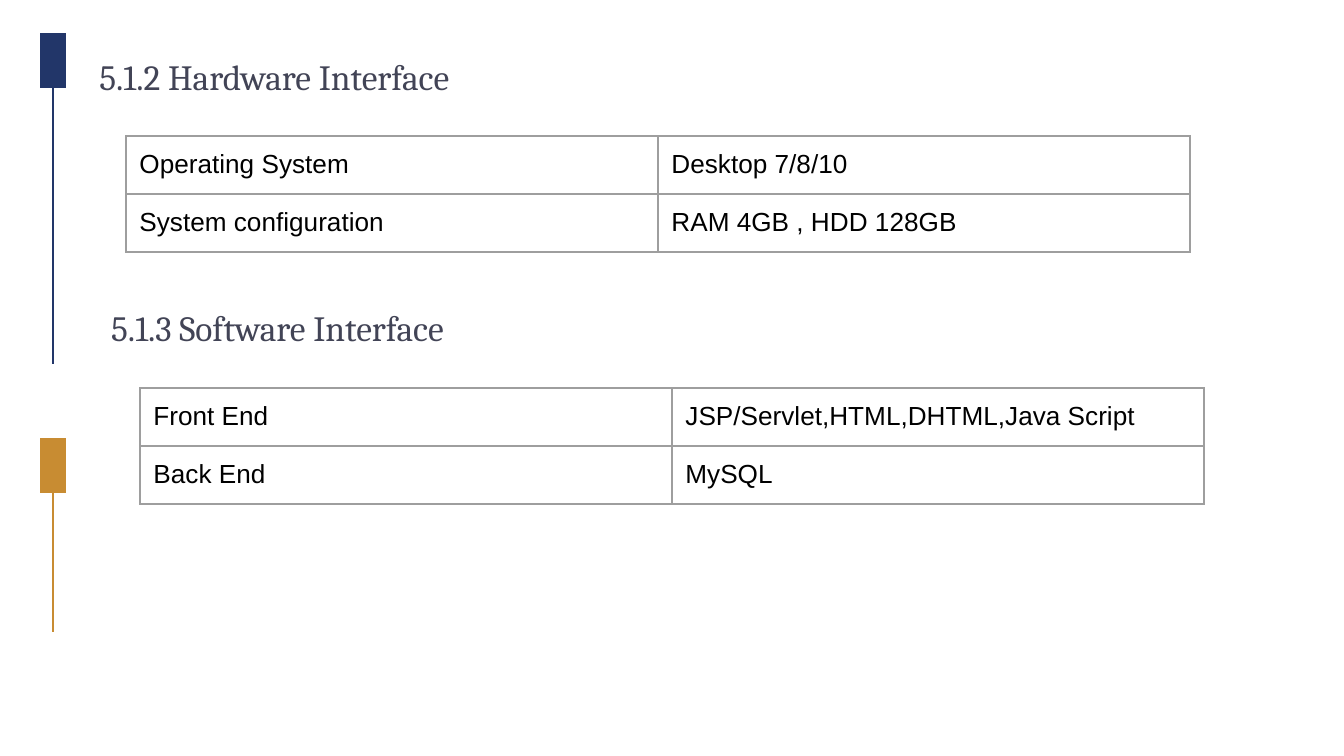
import pptx
import pptx.util
import pptx.oxml
import pptx.oxml.ns
import pptx.dml.color
import pptx.enum.shapes
import pptx.enum.text

RGB = pptx.dml.color.RGBColor
NAVY = RGB(0x22, 0x36, 0x69)
GOLD = RGB(0xC8, 0x8C, 0x32)
SLATE = RGB(0x42, 0x44, 0x56)
BLACK = RGB(0, 0, 0)
GREY = RGB(0x9E, 0x9E, 0x9E)

SECTIONS = [
    {
        "heading": "5.1.2 Hardware Interface",
        "heading_box": (86, 42, 441, 70),
        "table_at": (126, 136),
        "rows": [
            ("Operating System", "Desktop 7/8/10"),
            ("System configuration", "RAM 4GB , HDD 128GB"),
        ],
    },
    {
        "heading": "5.1.3 Software Interface",
        "heading_box": (98, 293, 600, 70),
        "table_at": (140, 388),
        "rows": [
            ("Front End", "JSP/Servlet,HTML,DHTML,Java Script"),
            ("Back End", "MySQL"),
        ],
    },
]
MARKERS = [(GOLD, 438, 632), (NAVY, 33, 364)]
MARKER_LEFT, MARKER_W, MARKER_H = 40, 26, 55
COL_W, ROW_H, INSET = 532, 58, 13.44


def px(n):
    return pptx.util.Emu(round(n * 914400 / 134.4))


def set_insets(target):
    target.margin_left = target.margin_right = px(INSET)
    target.margin_top = target.margin_bottom = px(INSET)


def style_text(tf, size, font, color):
    p = tf.paragraphs[0]
    p.alignment = pptx.enum.text.PP_ALIGN.LEFT
    f = p.runs[0].font
    f.size, f.name, f.bold = pptx.util.Pt(size), font, False
    f.color.rgb = color


def add_marker(slide, color, top, bottom):
    x = px(MARKER_LEFT + MARKER_W / 2)
    line = slide.shapes.add_connector(
        pptx.enum.shapes.MSO_CONNECTOR.STRAIGHT, x, px(top + MARKER_H / 2), x, px(bottom))
    line.line.color.rgb = color
    line.line.width = pptx.util.Pt(1)
    line._element.spPr.append(pptx.oxml.parse_xml(
        f"<a:effectLst {pptx.oxml.ns.nsdecls('a')}/>"))
    sp = slide.shapes.add_shape(
        pptx.enum.shapes.MSO_SHAPE.RECTANGLE,
        px(MARKER_LEFT), px(top), px(MARKER_W), px(MARKER_H))
    sp.shadow.inherit = False
    sp.fill.solid()
    sp.fill.fore_color.rgb = color
    sp.line.fill.background()


def format_heading(sp, text, box):
    sp.left, sp.top, sp.width, sp.height = map(px, box)
    tf = sp.text_frame
    tf.text = text
    tf.word_wrap = True
    tf.auto_size = pptx.enum.text.MSO_AUTO_SIZE.NONE
    tf.vertical_anchor = pptx.enum.text.MSO_ANCHOR.TOP
    set_insets(tf)
    style_text(tf, 19, "Cambria", SLATE)


def add_borders(cell):
    tcPr = cell._tc.get_or_add_tcPr()
    for side in ("lnL", "lnR", "lnT", "lnB"):
        tcPr.append(pptx.oxml.parse_xml(
            f'<a:{side} {pptx.oxml.ns.nsdecls("a")} w="{pptx.util.Pt(0.75)}">'
            f'<a:solidFill><a:srgbClr val="{GREY}"/></a:solidFill></a:{side}>'))


def add_grid(slide, rows, at):
    n_rows, n_cols = len(rows), len(rows[0])
    table = slide.shapes.add_table(
        n_rows, n_cols, px(at[0]), px(at[1]),
        px(COL_W * n_cols), px(ROW_H * n_rows)).table
    table.first_row = table.horz_banding = False
    for i, row in enumerate(rows):
        for j, text in enumerate(row):
            cell = table.cell(i, j)
            cell.text_frame.text = text
            set_insets(cell)
            style_text(cell.text_frame, 14, "Arial", BLACK)
            add_borders(cell)
            cell.fill.background()


def main():
    prs = pptx.Presentation()
    prs.slide_width, prs.slide_height = px(1344), px(756)
    slide = prs.slides.add_slide(prs.slide_layouts[5])
    for marker in MARKERS:
        add_marker(slide, *marker)
    for i, section in enumerate(SECTIONS):
        box = section["heading_box"]
        sp = slide.shapes.add_textbox(*map(px, box)) if i else slide.shapes.title
        format_heading(sp, section["heading"], box)
        add_grid(slide, section["rows"], section["table_at"])
    prs.save("out.pptx")


if __name__ == "__main__":
    main()
